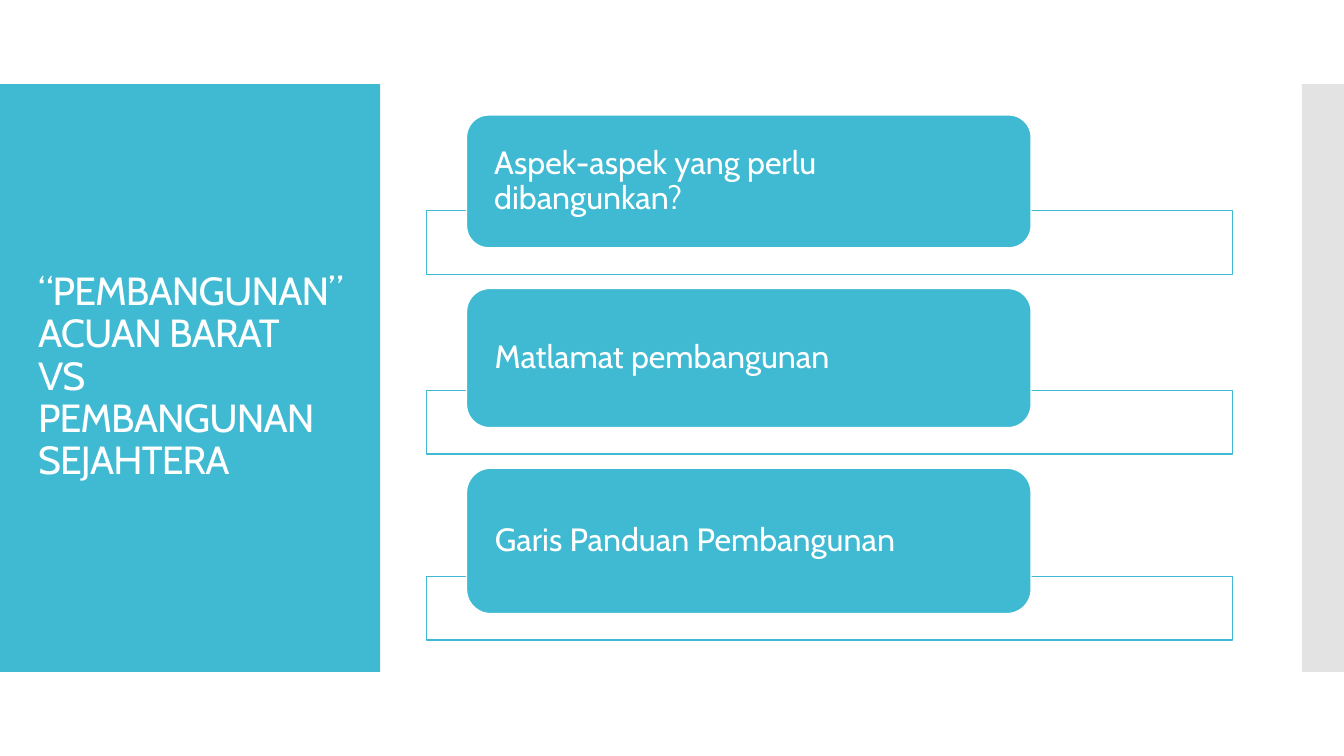
from dataclasses import dataclass

from lxml.etree import SubElement
from pptx import Presentation
from pptx.dml.color import RGBColor as Color
from pptx.enum.shapes import MSO_SHAPE as Shape
from pptx.enum.text import MSO_ANCHOR as Anchor, PP_ALIGN as Align
from pptx.oxml.ns import qn
from pptx.util import Emu, Inches, Pt


@dataclass(frozen=True)
class Theme:
    font: str = "Cabin"
    accent: str = "40BAD2"
    strip: str = "C8C8C8"
    white: str = "FFFFFF"
    title_size: int = 28
    label_size: int = 23
    line_width: float = 0.85
    line_spacing: float = 0.9


THEME = Theme()
COLUMNS, ROWS = 32, 18
WIDTH, HEIGHT = Inches(13.33), Inches(7.5)

TITLE = "“PEMBANGUNAN”\nACUAN BARAT\nVS\nPEMBANGUNAN SEJAHTERA"
TOPICS = [
    "Aspek-aspek yang perlu dibangunkan?",
    "Matlamat pembangunan",
    "Garis Panduan Pembangunan",
]


def grid(left, top, width, height):
    column, row = WIDTH / COLUMNS, HEIGHT / ROWS
    return [Emu(round(n)) for n in (left * column, top * row, width * column, height * row)]


def apply_format(target, values):
    for name, value in values.items():
        setattr(target, name, value)


def add_block(page, cells, fill, line=None, kind=Shape.RECTANGLE, opacity=100):
    block = page.shapes.add_shape(kind, *grid(*cells))
    block.shadow.inherit = False
    block.fill.solid()
    block.fill.fore_color.rgb = Color.from_string(fill)
    if opacity < 100:
        color = block.fill._xPr.find(qn("a:solidFill"))[0]
        SubElement(color, qn("a:alpha"), val=str(opacity * 1000))
    if line:
        block.line.color.rgb = Color.from_string(line)
        block.line.width = Pt(THEME.line_width)
    else:
        block.line.fill.background()
    return block


def write_text(box, text, size, side, tracking=0):
    frame = box.text_frame
    apply_format(frame, {
        "word_wrap": True, "vertical_anchor": Anchor.MIDDLE,
        "margin_left": Inches(side), "margin_right": Inches(side),
        "margin_top": 0, "margin_bottom": 0,
    })
    para = frame.paragraphs[0]
    para.text = text
    apply_format(para, {"alignment": Align.LEFT, "line_spacing": THEME.line_spacing})
    for span in para.runs:
        apply_format(span.font, {"name": THEME.font, "size": Pt(size)})
        span.font.color.rgb = Color.from_string(THEME.white)
        if tracking:
            span.font._element.set("spc", str(tracking))


def add_title(page, text):
    add_block(page, (0, 2, 9.05, 14), THEME.accent)
    box = page.shapes.add_textbox(*grid(0.67, 2.95, 8.04, 12.07))
    write_text(box, text, THEME.title_size, side=0.1, tracking=-60)


def add_topics(page, topics):
    top, height = 2.74, 3.16
    growth, gap, overlap = 0.15, 0.97, 0.89
    for topic in topics:
        bottom = top + height
        add_block(page, (10.15, bottom - overlap, 19.2, 1.52),
                  THEME.white, THEME.accent, opacity=90)
        tab = add_block(page, (11.11, top, 13.44, height),
                        THEME.accent, THEME.white, Shape.ROUNDED_RECTANGLE)
        write_text(tab, topic, THEME.label_size, side=0.21)
        top = bottom + gap
        height += growth


def main():
    deck = Presentation()
    apply_format(deck, {"slide_width": WIDTH, "slide_height": HEIGHT})
    page = deck.slides.add_slide(deck.slide_layouts[6])
    add_block(page, (COLUMNS - 1, 2, 1, 14), THEME.strip, opacity=50)
    add_title(page, TITLE)
    add_topics(page, TOPICS)
    deck.save("out.pptx")


if __name__ == "__main__":
    main()
